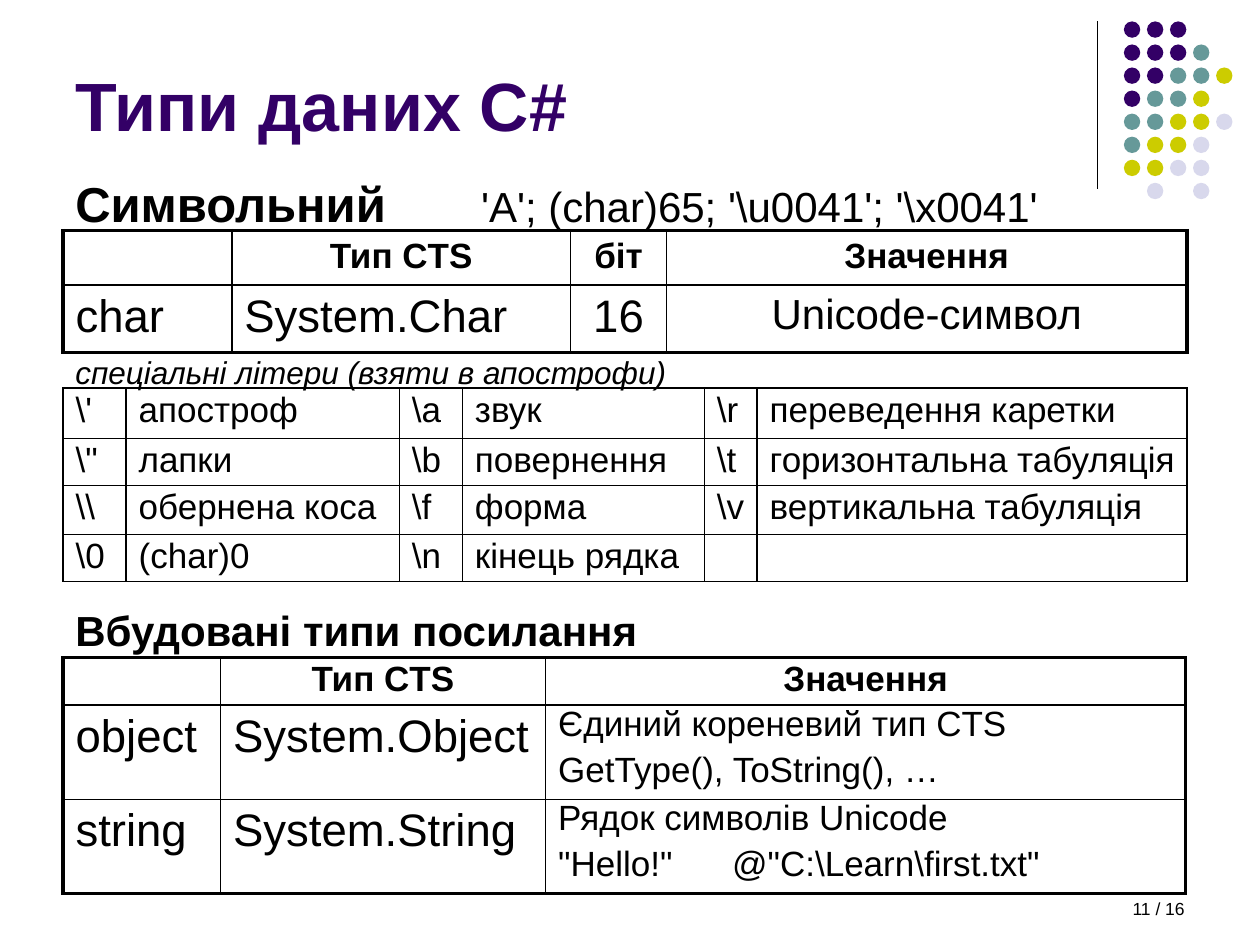
import dataclasses

import lxml.etree
import pptx
import pptx.dml.color
import pptx.enum.shapes
import pptx.enum.text
import pptx.oxml.ns
import pptx.util

Inches = pptx.util.Inches
Pt = pptx.util.Pt
RGBColor = pptx.dml.color.RGBColor
ALIGN = pptx.enum.text.PP_ALIGN
qn = pptx.oxml.ns.qn

FONT = "Arial"
BLACK = RGBColor(0x00, 0x00, 0x00)
PURPLE = RGBColor(0x33, 0x00, 0x66)
TEAL = RGBColor(0x66, 0x99, 0x99)
OLIVE = RGBColor(0xCC, 0xCC, 0x00)
LILAC = RGBColor(0xD8, 0xD8, 0xEC)

DOT_COLORS = {"P": PURPLE, "T": TEAL, "O": OLIVE, "L": LILAC}
DOT_ROWS = ["PPP", "PPPT", "PPTTO", "PTTO", "TTOOL", "TOOL", "OOLL", " L L"]
DOT_LEFT, DOT_TOP, DOT_SIZE, DOT_PITCH = 8.92, 0.17, 0.13, 0.183

THIN, THICK = 1, 2.25


@dataclasses.dataclass
class CellStyle:
    size: float = 20
    bold: bool = False
    align: ALIGN = ALIGN.LEFT
    top: float = 0.02
    bottom: float = 0.02
    tab: float = 0


TALL_HEADER = CellStyle(bold=True, align=ALIGN.CENTER, top=0.05, bottom=0.05)
HEADER = CellStyle(bold=True, align=ALIGN.CENTER)
TYPE_NAME = CellStyle(size=26, top=0.05, bottom=0.05)
BITS = dataclasses.replace(TYPE_NAME, align=ALIGN.CENTER)
MEANING = dataclasses.replace(BITS, size=24)
ESCAPE = CellStyle()
DETAILS = CellStyle(top=0, tab=1.38)


def add_run(paragraph, text, size, bold=False, italic=False, color=BLACK):
    run = paragraph.add_run()
    run.text = text
    run.font.name = FONT
    run.font.size = Pt(size)
    run.font.bold = bold
    run.font.italic = italic
    run.font.color.rgb = color


def add_tab_stop(paragraph, position):
    stops = lxml.etree.SubElement(paragraph._p.get_or_add_pPr(), qn("a:tabLst"))
    lxml.etree.SubElement(stops, qn("a:tab"), pos=str(Inches(position)), algn="l")


def set_percent_space_before(paragraph, percent):
    spacing = lxml.etree.SubElement(paragraph._p.get_or_add_pPr(), qn("a:spcBef"))
    lxml.etree.SubElement(spacing, qn("a:spcPct"), val=str(percent * 1000))


def add_label(slide, left, top, width, height, runs, align=ALIGN.LEFT, tab=0):
    label = slide.shapes.add_textbox(*map(Inches, (left, top, width, height)))
    label.text_frame.word_wrap = True
    paragraph = label.text_frame.paragraphs[0]
    paragraph.alignment = align
    if tab:
        add_tab_stop(paragraph, tab)
    for text, look in runs:
        add_run(paragraph, text, **look)


def add_title(slide, text):
    title = slide.shapes.title
    title.left, title.top, title.width, title.height = map(Inches, (0.5, 0.33, 8.25, 0.87))
    frame = title.text_frame
    frame.auto_size = pptx.enum.text.MSO_AUTO_SIZE.NONE
    frame.vertical_anchor = pptx.enum.text.MSO_ANCHOR.BOTTOM
    frame.paragraphs[0].alignment = ALIGN.LEFT
    add_run(frame.paragraphs[0], text, 39, bold=True, color=PURPLE)


def add_corner_ornament(slide):
    rule = slide.shapes.add_connector(
        pptx.enum.shapes.MSO_CONNECTOR.STRAIGHT, *map(Inches, (8.71, 0.17, 8.71, 1.5)))
    rule.line.color.rgb = BLACK
    rule.line.width = Pt(0.75)
    lxml.etree.SubElement(rule._element.spPr, qn("a:effectLst"))
    for row, pattern in enumerate(DOT_ROWS):
        for column, key in enumerate(pattern):
            if key == " ":
                continue
            dot = slide.shapes.add_shape(
                pptx.enum.shapes.MSO_SHAPE.OVAL,
                Inches(DOT_LEFT + column * DOT_PITCH), Inches(DOT_TOP + row * DOT_PITCH),
                Inches(DOT_SIZE), Inches(DOT_SIZE))
            dot.shadow.inherit = False
            dot.fill.solid()
            dot.fill.fore_color.rgb = DOT_COLORS[key]
            dot.line.fill.background()


def set_borders(cell, widths):
    properties = cell._tc.get_or_add_tcPr()
    for index, (side, width) in enumerate(widths.items()):
        line = lxml.etree.Element(qn(f"a:ln{side}"), w=str(Pt(width)))
        fill = lxml.etree.SubElement(line, qn("a:solidFill"))
        lxml.etree.SubElement(fill, qn("a:srgbClr"), val=str(BLACK))
        properties.insert(index, line)


def fill_cell(cell, text, style):
    cell.fill.background()
    cell.margin_left = Inches(0.1)
    # Leaves room for the longest escape description
    cell.margin_right = Inches(0.02 if style is ESCAPE else 0.1)
    cell.margin_top = Inches(style.top)
    cell.margin_bottom = Inches(style.bottom)
    frame = cell.text_frame
    for index, line in enumerate(text.split("\n") if text else []):
        paragraph = frame.add_paragraph() if index else frame.paragraphs[0]
        paragraph.alignment = style.align
        set_percent_space_before(paragraph, 20)
        if "\t" in line:
            add_tab_stop(paragraph, style.tab)
        add_run(paragraph, line, style.size, style.bold)


def add_grid(slide, top, widths, heights, rows, styles, outline):
    grid = slide.shapes.add_table(
        len(heights), len(widths), Inches(0.5), Inches(top),
        Inches(sum(widths)), Inches(sum(heights))).table
    grid.first_row = grid.horz_banding = False
    for column, width in zip(grid.columns, widths):
        column.width = Inches(width)
    for row, height in zip(grid.rows, heights):
        row.height = Inches(height)
    last_row, last_column = len(heights) - 1, len(widths) - 1
    for r, texts in enumerate(rows):
        for c, text in enumerate(texts):
            cell = grid.cell(r, c)
            fill_cell(cell, text, styles[r][c])
            set_borders(cell, {
                "L": outline if c == 0 else THIN,
                "R": outline if c == last_column else THIN,
                "T": outline if r == 0 else THIN,
                "B": outline if r == last_row else THIN})


def main():
    deck = pptx.Presentation()
    deck.slide_width, deck.slide_height = Inches(10), Inches(7.5)
    slide = deck.slides.add_slide(deck.slide_layouts[5])

    add_corner_ornament(slide)
    add_label(slide, 7.17, 7.08, 2.33, 0.25, [("11 / 16", {"size": 10})], ALIGN.RIGHT)
    add_title(slide, "Типи даних C#")

    # Character type
    add_grid(slide, 1.83, [1.34, 2.69, 0.76, 4.13], [0.43, 0.53],
             [["", "Тип CTS", "біт", "Значення"],
              ["char", "System.Char", "16", "Unicode-символ"]],
             [[TALL_HEADER] * 4, [TYPE_NAME, TYPE_NAME, BITS, MEANING]], THICK)
    add_label(slide, 0.5, 1.33, 8, 0.57,
              [("Символьний", {"size": 28, "bold": True}),
               ("\t'A'; (char)65; '\\u0041'; '\\x0041'", {"size": 24})], tab=3.22)

    # Escape sequences
    add_label(slide, 0.5, 2.75, 6.67, 0.4,
              [("спеціальні літери (взяти в апострофи)", {"size": 18, "italic": True})])
    add_grid(slide, 3.08, [0.5, 2.17, 0.5, 1.92, 0.42, 3.41], [0.4, 0.37, 0.39, 0.37],
             [["\\'", "апостроф", "\\a", "звук", "\\r", "переведення каретки"],
              ["\\\"", "лапки", "\\b", "повернення", "\\t", "горизонтальна табуляція"],
              ["\\\\", "обернена коса", "\\f", "форма", "\\v", "вертикальна табуляція"],
              ["\\0", "(char)0", "\\n", "кінець рядка", "", ""]],
             [[ESCAPE] * 6] * 4, THIN)

    # Built-in reference types
    add_label(slide, 0.5, 4.75, 6.08, 0.5,
              [("Вбудовані типи посилання", {"size": 24, "bold": True})])
    add_grid(slide, 5.22, [1.25, 2.58, 5.08], [0.37, 0.75, 0.75],
             [["", "Тип CTS", "Значення"],
              ["object", "System.Object", "Єдиний кореневий тип CTS\nGetType(), ToString(), …"],
              ["string", "System.String",
               "Рядок символів Unicode\n\"Hello!\"\t@\"C:\\Learn\\first.txt\""]],
             [[HEADER] * 3] + [[TYPE_NAME, TYPE_NAME, DETAILS]] * 2, THICK)

    deck.save("out.pptx")


if __name__ == "__main__":
    main()
